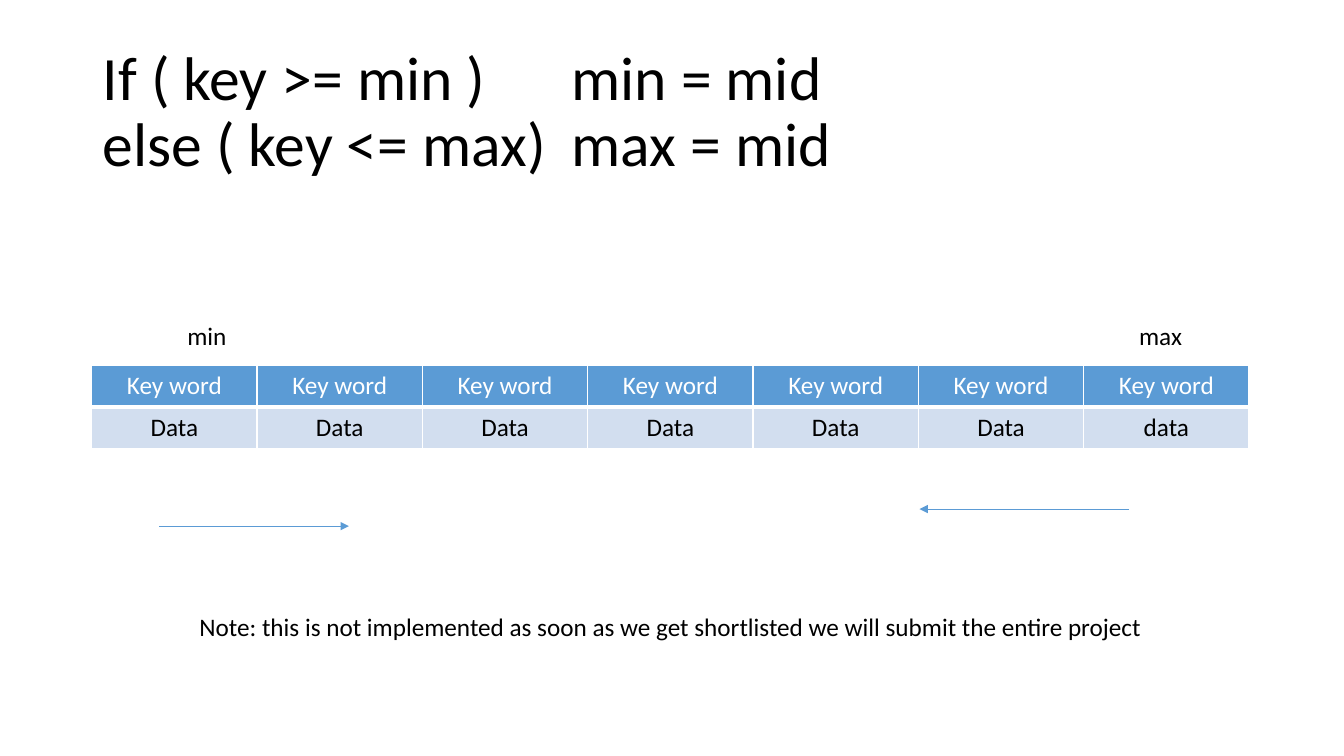
"""Build the slide on narrowing a key search between min and max."""
from dataclasses import dataclass
from typing import Any

import pptx
import pptx.dml.color
import pptx.enum.shapes
import pptx.enum.text
import pptx.oxml
import pptx.oxml.ns
import pptx.util
from lxml import etree

PX = pptx.util.Inches(1) // 100
ALIGN = pptx.enum.text.PP_ALIGN


@dataclass(frozen=True)
class Theme:
    font: str = "Calibri"
    ink: str = "000000"
    paper: str = "FFFFFF"
    accent: str = "5B9BD5"
    band: str = "D2DEEF"
    title_size: int = 44
    body_size: int = 18
    arrow_width: float = 0.5
    thin_border: int = 1
    thick_border: int = 3


@dataclass(frozen=True)
class Label:
    text: str
    left: int
    top: int
    width: int
    height: int = 40


@dataclass(frozen=True)
class Arrow:
    start: int
    end: int
    y: int


@dataclass(frozen=True)
class Row:
    texts: list[str]
    color: str
    fill: str
    borders: dict[str, int]


THEME = Theme()
COLUMNS = 7
COLUMN_WIDTH, ROW_HEIGHT = 164, 41
TABLE_LEFT, TABLE_TOP = 91, 363
TITLE = Label("If ( key >= min )\tmin = mid\velse ( key <= max)\tmax = mid", 92, 40, 1150, 145)
RESULT_TAB = 465
LABELS = [
    Label("min", 176, 313, 59),
    Label("max", 1120, 313, 63),
    Label("Note: this is not implemented as soon as we get shortlisted "
          "we will submit the entire project", 188, 602, 957),
]
ARROWS = [Arrow(158, 346, 522), Arrow(1120, 912, 505)]
SIDES = {"L": THEME.thin_border, "R": THEME.thin_border}
ROWS = [
    Row(["Key word"] * COLUMNS, THEME.paper, THEME.accent,
        SIDES | {"T": THEME.thin_border, "B": THEME.thick_border}),
    Row(["Data"] * (COLUMNS - 1) + ["data"], THEME.ink, THEME.band,
        SIDES | {"B": THEME.thin_border}),
]


def rgb(color: str) -> pptx.dml.color.RGBColor:
    return pptx.dml.color.RGBColor.from_string(color)


def apply(target: Any, values: dict[str, Any]) -> None:
    for name, value in values.items():
        setattr(target, name, value)


def write(frame: Any, text: str, size: int, color: str, align: Any) -> Any:
    para = frame.paragraphs[0]
    para.text = text
    para.alignment = align
    for span in para.runs:
        apply(span.font, {"name": THEME.font, "size": pptx.util.Pt(size), "bold": False})
        span.font.color.rgb = rgb(color)
    return para


def fill_title(page: Any, label: Label) -> None:
    title = page.shapes.title
    apply(title, {"left": label.left * PX, "top": label.top * PX,
                  "width": label.width * PX, "height": label.height * PX})
    apply(title.text_frame, {"vertical_anchor": pptx.enum.text.MSO_ANCHOR.MIDDLE,
                             "auto_size": pptx.enum.text.MSO_AUTO_SIZE.NONE})
    para = write(title.text_frame, label.text, THEME.title_size, THEME.ink, ALIGN.LEFT)
    para.line_spacing = 0.9
    tabs = etree.SubElement(para._p.get_or_add_pPr(), pptx.oxml.ns.qn("a:tabLst"))
    etree.SubElement(tabs, pptx.oxml.ns.qn("a:tab"), pos=str(RESULT_TAB * PX), algn="l")


def add_label(page: Any, label: Label) -> None:
    box = page.shapes.add_textbox(label.left * PX, label.top * PX,
                                  label.width * PX, label.height * PX)
    apply(box.text_frame, {"word_wrap": False,
                           "auto_size": pptx.enum.text.MSO_AUTO_SIZE.SHAPE_TO_FIT_TEXT})
    write(box.text_frame, label.text, THEME.body_size, THEME.ink, ALIGN.LEFT)


def add_border(cell: Any, side: str, width: int) -> None:
    cell._tc.get_or_add_tcPr().append(pptx.oxml.parse_xml(
        f'<a:ln{side} {pptx.oxml.ns.nsdecls("a")} w="{pptx.util.Pt(width)}">'
        f'<a:solidFill><a:srgbClr val="{THEME.paper}"/></a:solidFill></a:ln{side}>'))


def add_records(page: Any, rows: list[Row]) -> None:
    table = page.shapes.add_table(len(rows), COLUMNS, TABLE_LEFT * PX, TABLE_TOP * PX,
                                  COLUMNS * COLUMN_WIDTH * PX,
                                  len(rows) * ROW_HEIGHT * PX).table
    for r, row in enumerate(rows):
        for c, text in enumerate(row.texts):
            cell = table.cell(r, c)
            write(cell.text_frame, text, THEME.body_size, row.color, ALIGN.CENTER)
            for side in "LRTB":
                if side in row.borders:
                    add_border(cell, side, row.borders[side])
            cell.fill.solid()
            cell.fill.fore_color.rgb = rgb(row.fill)


def add_arrow(page: Any, arrow: Arrow) -> None:
    line = page.shapes.add_connector(pptx.enum.shapes.MSO_CONNECTOR.STRAIGHT,
                                     arrow.start * PX, arrow.y * PX,
                                     arrow.end * PX, arrow.y * PX)
    line.line.color.rgb = rgb(THEME.accent)
    line.line.width = pptx.util.Pt(THEME.arrow_width)
    etree.SubElement(line.line._get_or_add_ln(), pptx.oxml.ns.qn("a:tailEnd"), type="triangle")
    etree.SubElement(line._element.spPr, pptx.oxml.ns.qn("a:effectLst"))


def main() -> None:
    deck = pptx.Presentation()
    apply(deck, {"slide_width": 1333 * PX, "slide_height": 750 * PX})
    page = deck.slides.add_slide(deck.slide_layouts.get_by_name("Title Only"))
    fill_title(page, TITLE)
    add_records(page, ROWS)
    for label in LABELS:
        add_label(page, label)
    for arrow in ARROWS:
        add_arrow(page, arrow)
    deck.save("out.pptx")


if __name__ == "__main__":
    main()
